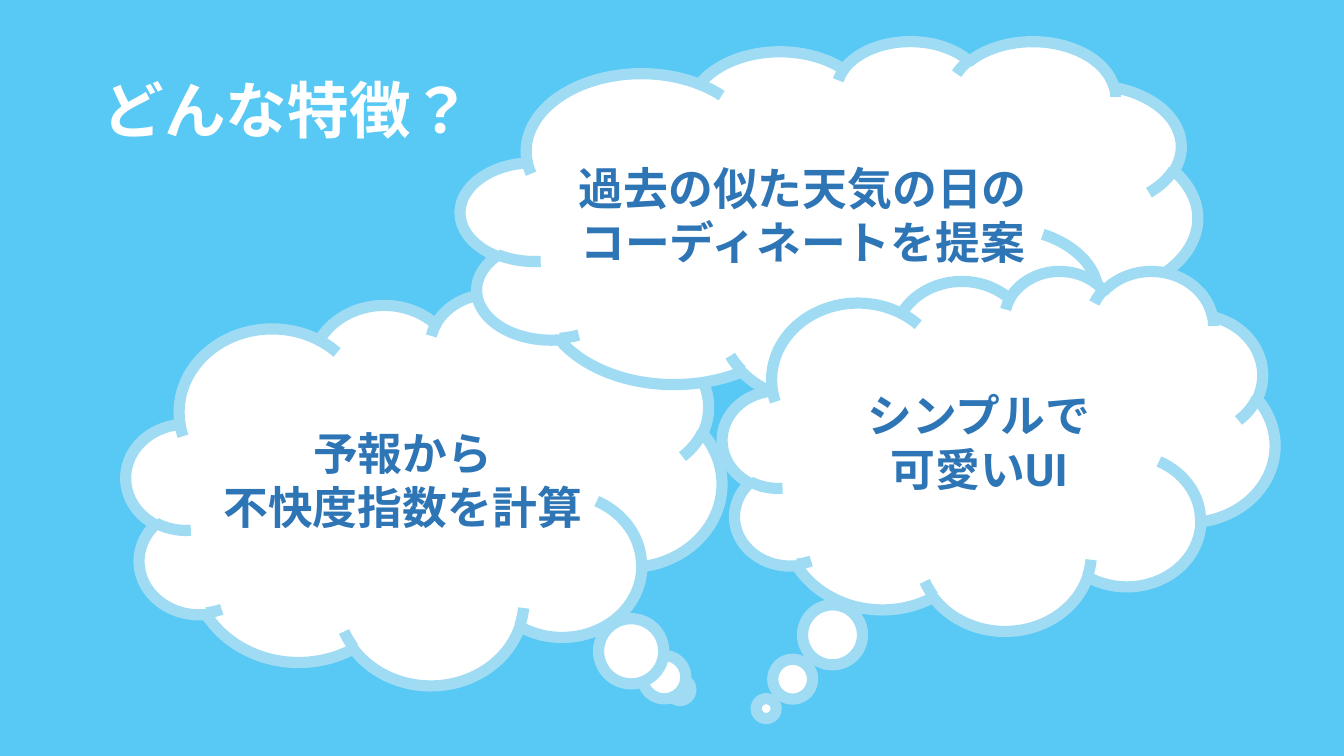
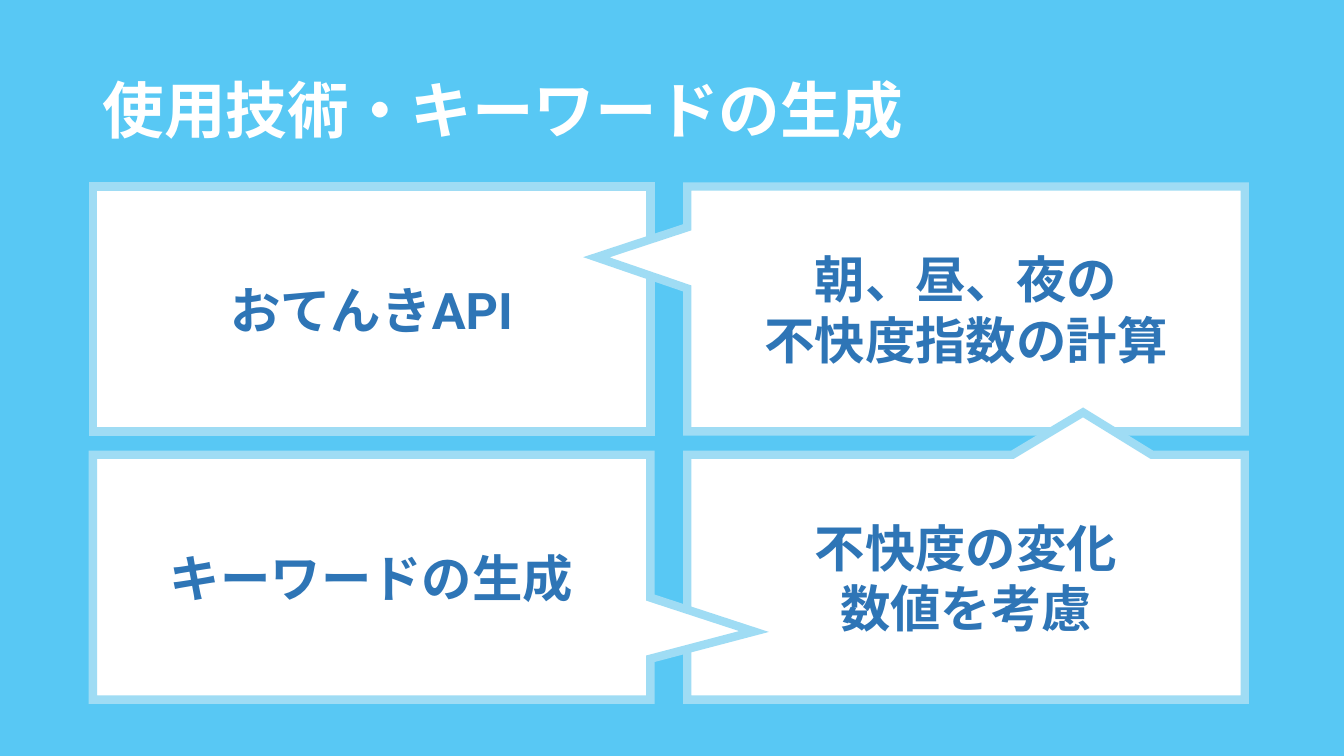
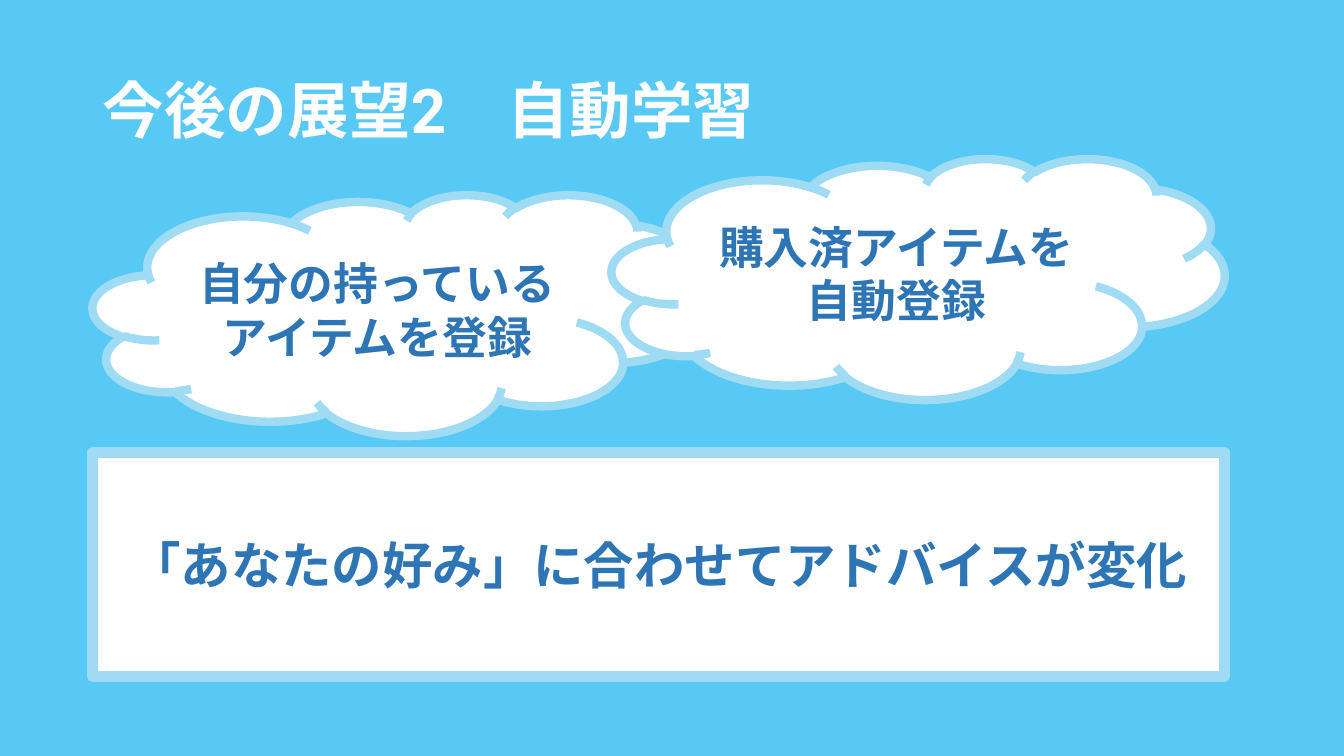
from dataclasses import dataclass

from lxml.etree import SubElement
from pptx import Presentation
from pptx.dml.color import RGBColor
from pptx.enum.lang import MSO_LANGUAGE_ID
from pptx.enum.shapes import MSO_SHAPE
from pptx.enum.text import MSO_ANCHOR, PP_ALIGN
from pptx.oxml.ns import qn
from pptx.slide import Slide
from pptx.text.text import TextFrame
from pptx.util import Cm, Pt

SKY = RGBColor(0x58, 0xC8, 0xF4)
PALE_BLUE = RGBColor(0x9F, 0xDC, 0xF4)
DEEP_BLUE = RGBColor(0x2E, 0x75, 0xB6)
WHITE = RGBColor(0xFF, 0xFF, 0xFF)
FONT = "Roboto"

MARGIN = 2.34
CARD_WIDTH, CARD_HEIGHT = 14.05, 6.17
CARD_TOP = 4.7
COLUMN_GAP, ROW_GAP = 0.93, 0.59
CLOUD_WIDTH, CLOUD_HEIGHT = 15.44, 6.07
CONTENT_WIDTH = 28.52


@dataclass(frozen=True)
class Panel:
    """An outlined white shape with centred text; lengths in centimetres."""
    kind: MSO_SHAPE
    left: float
    top: float
    width: float
    height: float
    lines: tuple[str, ...]
    text_size: int = 32
    outline: int = 8
    tail: tuple[float, ...] = ()
    sharp_corners: bool = False


def thought(left: float, top: float, width: float, height: float,
            tail: tuple[float, float], *lines: str) -> Panel:
    return Panel(MSO_SHAPE.CLOUD_CALLOUT, left, top, width, height, lines, tail=tail)


def card(column: int, row: int, tail: tuple[float, ...], *lines: str) -> Panel:
    """A cell of the two-by-two grid, with a pointer if a tail is given."""
    kind = MSO_SHAPE.RECTANGULAR_CALLOUT if tail else MSO_SHAPE.RECTANGLE
    return Panel(kind,
                 MARGIN + column * (CARD_WIDTH + COLUMN_GAP),
                 CARD_TOP + row * (CARD_HEIGHT + ROW_GAP),
                 CARD_WIDTH, CARD_HEIGHT, lines,
                 text_size=36, outline=6, tail=tail, sharp_corners=True)


def cloud(left: float, top: float, *lines: str) -> Panel:
    return Panel(MSO_SHAPE.CLOUD, left, top, CLOUD_WIDTH, CLOUD_HEIGHT, lines, outline=6)


FEATURES = (
    thought(3.18, 7.39, 15.01, 9.86, (0.43, 0.513), "予報から", "不快度指数を計算"),
    thought(11.61, 1.02, 18.57, 9.19, (-0.053, 0.738),
            "過去の似た天気の日のコーディネートを提案"),
    thought(18.21, 6.81, 13.92, 9.07, (-0.421, 0.718), "シンプルで", "可愛いUI"),
)

KEYWORD_STEPS = (
    card(0, 0, (), "おてんきAPI"),
    card(1, 0, (-0.663, -0.211), "朝、昼、夜の", "不快度指数の計算"),
    card(1, 1, (0.21, -0.673), "不快度の変化", "数値を考慮"),
    card(0, 1, (0.686, 0.222), "キーワードの生成"),
)

AUTO_LEARNING = (
    cloud(MARGIN, 4.9, "自分の持っている", "アイテムを登録"),
    Panel(MSO_SHAPE.RECTANGLE, MARGIN, 11.4, CONTENT_WIDTH, 5.64,
          ("「あなたの好み」に合わせてアドバイスが変化",), text_size=36),
    cloud(MARGIN + CONTENT_WIDTH - CLOUD_WIDTH, 3.99, "購入済アイテムを", "自動登録"),
)

SLIDES = (
    ("どんな特徴？", FEATURES),
    ("使用技術・キーワードの生成", KEYWORD_STEPS),
    ("今後の展望2　自動学習", AUTO_LEARNING),
)


def write_lines(frame: TextFrame, lines: tuple[str, ...], size: int, color: RGBColor,
                align: PP_ALIGN, spacing: float = 1.0) -> None:
    frame.word_wrap = True
    frame.vertical_anchor = MSO_ANCHOR.MIDDLE
    for index, line in enumerate(lines):
        paragraph = frame.add_paragraph() if index else frame.paragraphs[0]
        paragraph.alignment = align
        paragraph.line_spacing = spacing
        run = paragraph.add_run()
        run.text = line
        run.font.size = Pt(size)
        run.font.bold = True
        run.font.color.rgb = color
        run.font.name = FONT
        run.font.language_id = MSO_LANGUAGE_ID.JAPANESE
        SubElement(run._r.get_or_add_rPr(), qn("a:ea"), typeface=FONT)


def add_title(slide: Slide, title: str) -> None:
    box = slide.shapes.add_textbox(Cm(MARGIN), Cm(1.02), Cm(29.21), Cm(3.68))
    write_lines(box.text_frame, (title,), 44, WHITE, PP_ALIGN.LEFT, spacing=0.9)


def add_panel(slide: Slide, panel: Panel) -> None:
    shape = slide.shapes.add_shape(panel.kind, Cm(panel.left), Cm(panel.top),
                                   Cm(panel.width), Cm(panel.height))
    for index, value in enumerate(panel.tail):
        shape.adjustments[index] = value
    shape.shadow.inherit = False
    shape.fill.solid()
    shape.fill.fore_color.rgb = WHITE
    shape.line.color.rgb = PALE_BLUE
    shape.line.width = Pt(panel.outline)
    if panel.sharp_corners:
        SubElement(shape.line._get_or_add_ln(), qn("a:miter"), lim="800000")
    write_lines(shape.text_frame, panel.lines, panel.text_size, DEEP_BLUE, PP_ALIGN.CENTER)


def main() -> None:
    presentation = Presentation()
    presentation.slide_width = Cm(33.87)
    presentation.slide_height = Cm(19.05)
    background = presentation.slide_master.background.fill
    background.solid()
    background.fore_color.rgb = SKY
    blank = presentation.slide_layouts[6]
    for title, panels in SLIDES:
        slide = presentation.slides.add_slide(blank)
        add_title(slide, title)
        for panel in panels:
            add_panel(slide, panel)
    presentation.save("out.pptx")


if __name__ == "__main__":
    main()
